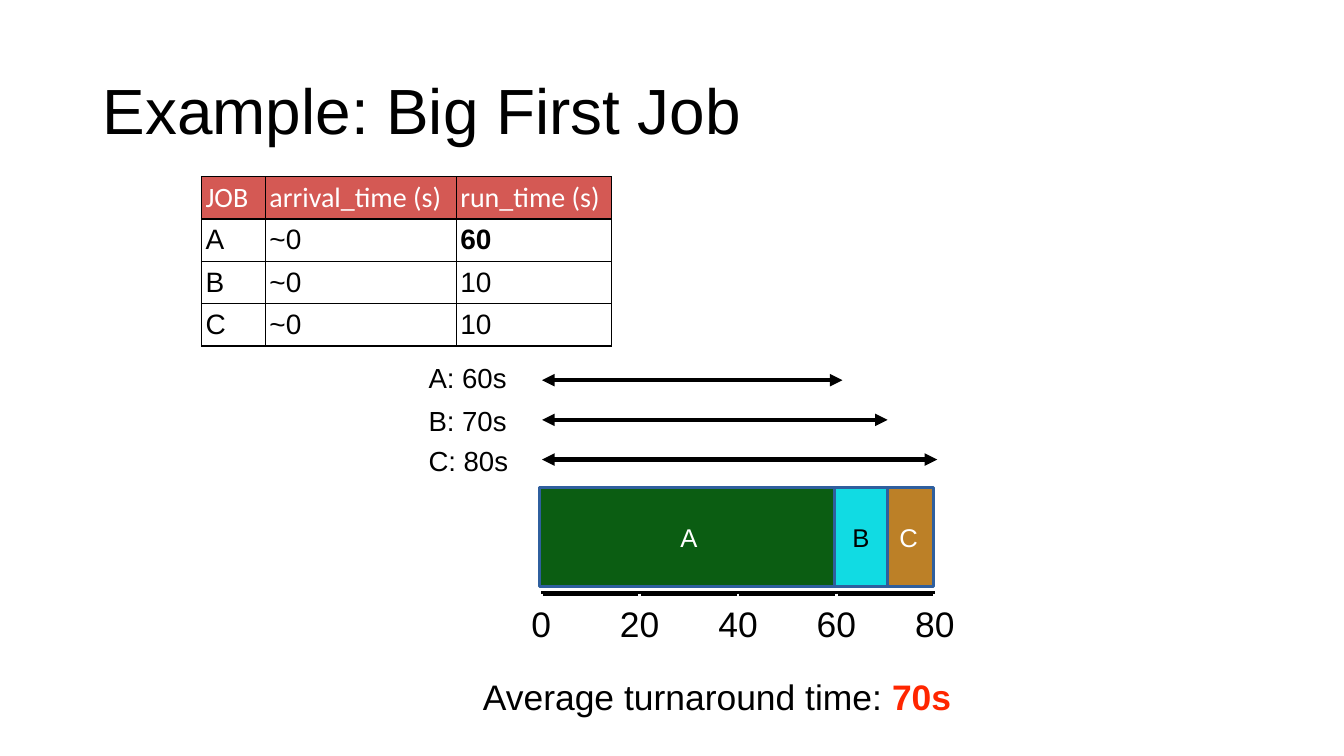
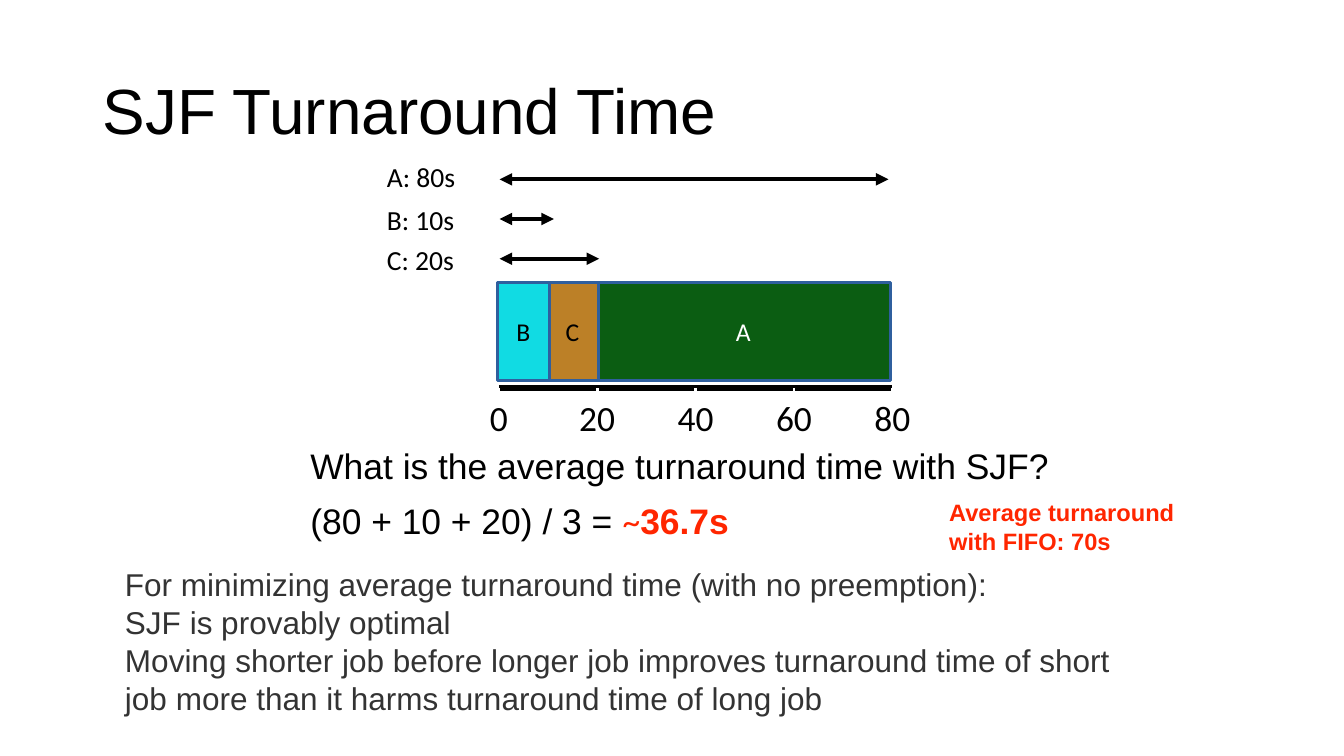
from pptx import Presentation
from pptx import util as u
from pptx.dml.color import RGBColor
from pptx.enum import shapes, text
from pptx.oxml.ns import qn
from lxml import etree

Cm, Pt = u.Cm, u.Pt
ALIGN, ANCHOR = text.PP_ALIGN, text.MSO_ANCHOR

BLACK = RGBColor(0x00, 0x00, 0x00)
WHITE = RGBColor(0xFF, 0xFF, 0xFF)
GREY = RGBColor(0x33, 0x33, 0x33)
RED = RGBColor(0xFF, 0x26, 0x00)
HEADER = RGBColor(0xD4, 0x59, 0x54)
BAR_EDGE = RGBColor(0x2F, 0x5F, 0x9E)
JOB_COLORS = {
    "A": RGBColor(0x0B, 0x5D, 0x12),
    "B": RGBColor(0x11, 0xDB, 0xE3),
    "C": RGBColor(0xBC, 0x80, 0x27),
}

TOTAL = 80          # seconds on the time axis
SCALE = 0.124       # cm per second
BAR_OVERLAP = 0.08
TIGHT = (0.1, 0.1)
ROOMY = (0.25, 0.13)

JOB_TABLE = [
    ["JOB", "arrival_time (s)", "run_time (s)"],
    ["A", "~0", "60"],
    ["B", "~0", "10"],
    ["C", "~0", "10"],
]
LONGEST_CELL = (1, 2)
COLUMN_WIDTHS = (1.61, 4.81, 3.92)

# bars: job, start, duration, text colour; spans: label, arrow length in cm
FIFO = dict(
    x=13.64, y=14.96, font="Arial", label_x=10.7, span_y=9.58,
    bars=[("A", 0, 60, WHITE), ("C", 70, 10, WHITE), ("B", 60, 10, BLACK)],
    spans=[("A: 60s", 7.57), ("B: 70s", 8.71), ("C: 80s", 9.96)],
)
SJF = dict(
    x=12.57, y=9.78, font="Calibri", label_x=9.65, span_y=4.52,
    bars=[("A", 20, 60, WHITE), ("C", 10, 10, BLACK), ("B", 0, 10, BLACK)],
    spans=[("A: 80s", 9.8), ("B: 10s", 1.37), ("C: 20s", 2.51)],
)
SUMMARY = [[("Average turnaround time: ", {}), ("70s", dict(color=RED, bold=True))]]
QUESTION = [
    [("What is the average turnaround time with SJF?", {})],
    [("(80 + 10 + 20) / 3 = ", {}), ("~", dict(color=RED, font="Calibri")),
     ("36.7s", dict(color=RED, bold=True))],
]
CONCLUSIONS = [
    "For minimizing average turnaround time (with no preemption):",
    "SJF is provably optimal",
    "Moving shorter job before longer job improves turnaround time of short "
    "job more than it harms turnaround time of long job",
]
FIFO_NOTE = "Average turnaround with FIFO: 70s"


def add_run(p, words, size, font="Arial", color=BLACK, bold=False):
    r = p.add_run()
    r.text = words
    r.font.size, r.font.name, r.font.bold = Pt(size), font, bold
    r.font.color.rgb = color


def add_text(s, box, paragraphs, size, insets=TIGHT, anchor=ANCHOR.MIDDLE,
             align=ALIGN.LEFT, gap=0, spacing=None, **style):
    """Add a text box; a paragraph is a string or a list of (text, style) runs."""
    tf = s.shapes.add_textbox(*map(Cm, box)).text_frame
    tf.word_wrap, tf.vertical_anchor = True, anchor
    tf.margin_left = tf.margin_right = Cm(insets[0])
    tf.margin_top = tf.margin_bottom = Cm(insets[1])
    for i, runs in enumerate(paragraphs):
        p = tf.add_paragraph() if i else tf.paragraphs[0]
        p.alignment = align
        if i and gap:
            p.space_before = Pt(gap)
        if spacing:
            p.line_spacing = spacing
        for words, own in [(runs, {})] if isinstance(runs, str) else runs:
            add_run(p, words, size, **{**style, **own})


def add_line(s, x1, y1, x2, y2, color, width, arrows=False):
    line = s.shapes.add_connector(shapes.MSO_CONNECTOR.STRAIGHT,
                                  *map(Cm, (x1, y1, x2, y2)))
    line.line.color.rgb = color
    line.line.width = Pt(width)
    if arrows:
        ln = line.line._get_or_add_ln()
        for end in ("a:headEnd", "a:tailEnd"):
            etree.SubElement(ln, qn(end), type="triangle")
    etree.SubElement(line._element.spPr, qn("a:effectLst"))


def add_bar(s, left, top, width, job, color, font):
    sp = s.shapes.add_shape(shapes.MSO_SHAPE.RECTANGLE,
                            *map(Cm, (left, top, width, 2.49)))
    sp.shadow.inherit = False
    sp.fill.solid()
    sp.fill.fore_color.rgb = JOB_COLORS[job]
    sp.line.color.rgb = BAR_EDGE
    sp.line.width = Pt(2)
    tf = sp.text_frame
    tf.margin_left = tf.margin_right = tf.margin_top = tf.margin_bottom = 0
    tf.vertical_anchor = ANCHOR.MIDDLE
    p = tf.paragraphs[0]
    p.alignment = ALIGN.CENTER
    add_run(p, job, 18.3, font, color)


def add_timeline(s, plan):
    """Draw the schedule bars, the time axis and one turnaround arrow per job."""
    x, y, font = plan["x"], plan["y"], plan["font"]
    for job, start, duration, color in plan["bars"]:
        width = min(duration * SCALE + BAR_OVERLAP, (TOTAL - start) * SCALE)
        add_bar(s, x - 0.04 + start * SCALE, y - 2.67, width, job, color, font)

    add_line(s, x, y, x + TOTAL * SCALE, y, BLACK, 4)
    for second in range(0, TOTAL + 1, 20):
        tick = x + second * SCALE
        add_line(s, tick, y, tick, y + 0.2, WHITE, 2)
        add_text(s, (tick - 0.75, y + 0.1, 1.5, 1.27), [str(second)], 25.3,
                 align=ALIGN.CENTER, font=font)

    for i, (label, length) in enumerate(plan["spans"]):
        span_y = plan["span_y"] + i
        add_line(s, x + 0.02, span_y, x + 0.02 + length, span_y, BLACK, 3, arrows=True)
        label_y = span_y - (0.5 if i else 0.58)
        add_text(s, (plan["label_x"], label_y, 2.5, 1.04), [label], 19.7, font=font)


def add_cell_borders(cell):
    tcPr = cell._tc.get_or_add_tcPr()
    for side in ("a:lnL", "a:lnR", "a:lnT", "a:lnB"):
        ln = etree.SubElement(tcPr, qn(side), w=str(Pt(1)))
        fill = etree.SubElement(ln, qn("a:solidFill"))
        etree.SubElement(fill, qn("a:srgbClr"), val=str(BLACK))


def add_job_table(s):
    table = s.shapes.add_table(len(JOB_TABLE), len(COLUMN_WIDTHS), Cm(5.08), Cm(4.45),
                               Cm(sum(COLUMN_WIDTHS)), Cm(4.27)).table
    table.first_row = table.horz_banding = False
    for column, width in zip(table.columns, COLUMN_WIDTHS):
        column.width = Cm(width)
    for i, row in enumerate(JOB_TABLE):
        for j, words in enumerate(row):
            cell = table.cell(i, j)
            cell.margin_left = cell.margin_right = Cm(0.1)
            cell.margin_top = cell.margin_bottom = Cm(0.1)
            cell.vertical_anchor = ANCHOR.MIDDLE
            add_cell_borders(cell)
            p = cell.text_frame.paragraphs[0]
            if i == 0:
                cell.fill.solid()
                cell.fill.fore_color.rgb = HEADER
                add_run(p, words, 20, "Calibri", WHITE)
            else:
                cell.fill.background()
                add_run(p, words, 20, bold=(i, j) == LONGEST_CELL)


def add_slide(prs, title):
    s = prs.slides.add_slide(prs.slide_layouts[6])
    add_text(s, (2.34, 1.02, 29.21, 3.68), [title], 45.6, ROOMY, spacing=0.9)
    return s


def main():
    prs = Presentation()
    prs.slide_width, prs.slide_height = Cm(33.87), Cm(19.05)

    s = add_slide(prs, "Example: Big First Job")
    add_timeline(s, FIFO)
    add_text(s, (12.07, 16.92, 13, 1.27), SUMMARY, 25.3)
    add_job_table(s)

    s = add_slide(prs, "SJF Turnaround Time")
    add_timeline(s, SJF)
    add_text(s, (7.72, 11.07, 20, 2.69), QUESTION, 25.3, gap=9)
    add_text(s, (2.9, 14.12, 26.44, 4.11), CONCLUSIONS, 22.5, ROOMY, ANCHOR.TOP, color=GREY)
    add_text(s, (23.67, 12.42, 6.63, 1.7), [FIFO_NOTE], 16.9, ROOMY, ANCHOR.TOP,
             color=RED, bold=True)

    prs.save("out.pptx")


if __name__ == "__main__":
    main()
